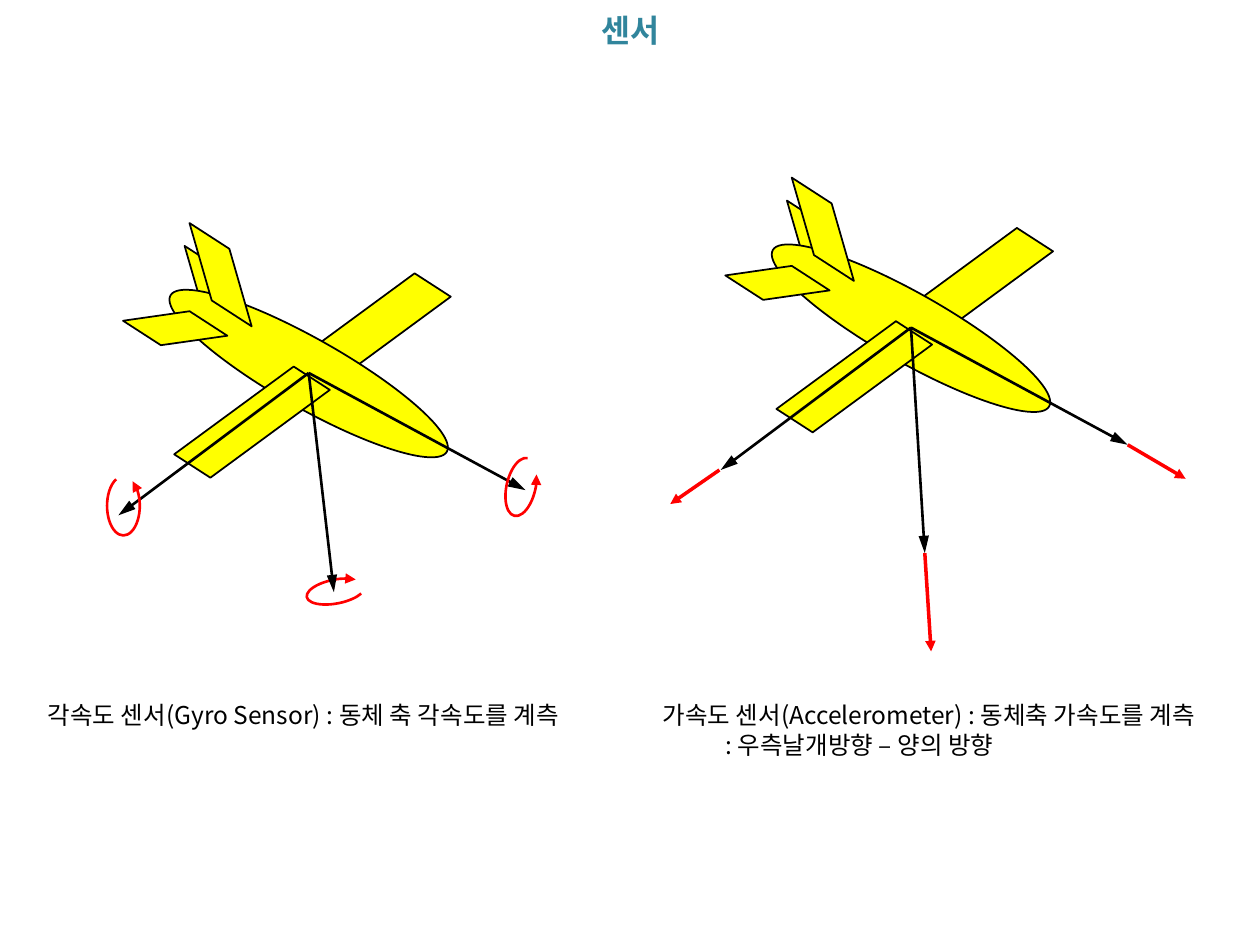
from dataclasses import dataclass

from lxml.etree import SubElement
from pptx import Presentation
from pptx.dml.color import RGBColor
from pptx.enum.shapes import MSO_CONNECTOR, MSO_SHAPE
from pptx.enum.text import MSO_ANCHOR, MSO_AUTO_SIZE, PP_ALIGN
from pptx.oxml.ns import qn
from pptx.util import Inches, Pt


@dataclass(frozen=True)
class Theme:
    font: str = "Noto Sans CJK KR"
    title_size: int = 18
    caption_size: int = 14
    title: RGBColor = RGBColor(0x31, 0x85, 0x9C)
    ink: RGBColor = RGBColor(0, 0, 0)
    airframe: RGBColor = RGBColor(0xFF, 0xFF, 0)
    measure: RGBColor = RGBColor(0xFF, 0, 0)


THEME = Theme()
TILT = 212.9
WING, TAIL = 0.55, 1.149

# Places below are inches from the point where the body axes meet.
# shape, left, top, width, height, rotation, adjustment, flip
AIRFRAME = [
    (MSO_SHAPE.PARALLELOGRAM, -1.12, -0.85, 0.67, 0.3, TILT, [TAIL], "flipV"),
    (MSO_SHAPE.PARALLELOGRAM, 0.13, -0.9, 0.76, 1.1, TILT, [WING], None),
    (MSO_SHAPE.OVAL, -1.26, -0.27, 2.52, 0.55, 29.5, [], None),
    (MSO_SHAPE.PARALLELOGRAM, -0.83, -0.16, 0.76, 1.1, TILT, [WING], None),
    (MSO_SHAPE.PARALLELOGRAM, -1.44, -0.53, 0.76, 0.35, TILT, [TAIL], None),
    (MSO_SHAPE.PARALLELOGRAM, -1.13, -0.99, 0.86, 0.42, TILT, [TAIL], "flipV"),
]
WIDE_TURN, SHORT_TURN = [171.226, 149.765], [162, 139.044]
YAW = (MSO_SHAPE.ARC, 0.12, 1.5, 0.19, 0.47, 79.1, WIDE_TURN, None)
ROLL = (MSO_SHAPE.ARC, 1.57, 0.67, 0.23, 0.47, 12.9, SHORT_TURN, "flipH")
PITCH = (MSO_SHAPE.ARC, -1.6, 0.82, 0.26, 0.47, 0, WIDE_TURN, "flipH")

NOSE_TIP, WING_TIP = (1.72, 0.93), (-1.51, 1.13)
GYRO_DOWN, ACCEL_DOWN = (0.2, 1.74), (0.11, 1.79)
ACCELERATIONS = [
    (NOSE_TIP, (2.18, 1.2)),
    (ACCEL_DOWN, (0.16, 2.57)),
    ((-1.52, 1.13), (-1.91, 1.4)),
]


def style_line(line, color, width, arrow_length=None):
    line.color.rgb = color
    line.width = Pt(width)
    if arrow_length:
        SubElement(line._get_or_add_ln(), qn("a:tailEnd"),
                   type="triangle", w="med", len=arrow_length)


def add_part(group, origin, part):
    kind, left, top, width, height, rotation, adjustments, flip = part
    shape = group.shapes.add_shape(
        kind, Inches(origin[0] + left), Inches(origin[1] + top),
        Inches(width), Inches(height))
    shape.shadow.inherit = False
    shape.rotation = rotation
    for index, value in enumerate(adjustments):
        shape.adjustments[index] = value
    if flip:
        shape._element.spPr.xfrm.set(flip, "1")
    return shape


def add_airframe(group, origin):
    for part in AIRFRAME:
        shape = add_part(group, origin, part)
        shape.fill.solid()
        shape.fill.fore_color.rgb = THEME.airframe
        style_line(shape.line, THEME.ink, 1)


def add_turn(group, origin, part):
    """Draw the rotation sense about one body axis."""
    shape = add_part(group, origin, part)
    shape.fill.background()
    style_line(shape.line, THEME.measure, 1.5, "med")


def add_arrow(group, origin, start, end, color, width, arrow_length):
    points = [Inches(origin[axis] + point[axis])
              for point in (start, end) for axis in (0, 1)]
    arrow = group.shapes.add_connector(MSO_CONNECTOR.STRAIGHT, *points)
    style_line(arrow.line, color, width, arrow_length)
    SubElement(arrow._element.spPr, qn("a:effectLst"))


def add_axes(group, origin, down_tip):
    for tip in (NOSE_TIP, WING_TIP, down_tip):
        add_arrow(group, origin, (0, 0), tip, THEME.ink, 1.5, "lg")


def add_gyro_aircraft(page, origin):
    group = page.shapes.add_group_shape()
    add_turn(group, origin, YAW)
    add_airframe(group, origin)
    add_axes(group, origin, GYRO_DOWN)
    for part in (ROLL, PITCH):
        add_turn(group, origin, part)


def add_accelerometer_aircraft(page, origin):
    group = page.shapes.add_group_shape()
    add_airframe(group, origin)
    add_axes(group, origin, ACCEL_DOWN)
    for start, end in ACCELERATIONS:
        add_arrow(group, origin, start, end, THEME.measure, 2, "med")


def fill_text(box, lines, size, color, align=PP_ALIGN.LEFT, bold=False):
    frame = box.text_frame
    frame.text = "\n".join(lines)
    frame.word_wrap = False
    frame.auto_size = MSO_AUTO_SIZE.SHAPE_TO_FIT_TEXT
    frame.vertical_anchor = MSO_ANCHOR.TOP
    for para in frame.paragraphs:
        para.alignment = align
        for span in para.runs:
            span.font.size = Pt(size)
            span.font.bold = bold
            span.font.color.rgb = color
            span.font.name = THEME.font
            SubElement(span.font._element, qn("a:ea"), typeface=THEME.font)


def set_title(page, text):
    title = page.shapes.title
    title.left, title.top = Inches(4.65), Inches(0.04)
    title.width, title.height = Inches(0.71), Inches(0.4)
    fill_text(title, [text], THEME.title_size, THEME.title,
              PP_ALIGN.CENTER, bold=True)


def add_caption(page, left, width, height, lines):
    box = page.shapes.add_textbox(
        Inches(left), Inches(5.51), Inches(width), Inches(height))
    fill_text(box, lines, THEME.caption_size, THEME.ink)


def main():
    deck = Presentation()
    deck.slide_width, deck.slide_height = Inches(10), Inches(7.5)
    page = deck.slides.add_slide(deck.slide_layouts[5])
    set_title(page, "센서")
    add_gyro_aircraft(page, (2.45, 2.96))
    add_accelerometer_aircraft(page, (7.23, 2.6))
    add_caption(page, 0.28, 4.61, 0.34,
                ["각속도 센서(Gyro Sensor) : 동체 축 각속도를 계측"])
    add_caption(page, 5.16, 4.74, 0.57,
                ["가속도 센서(Accelerometer) : 동체축 가속도를 계측",
                 "\t: 우측날개방향 – 양의 방향"])
    deck.save("out.pptx")


if __name__ == "__main__":
    main()
